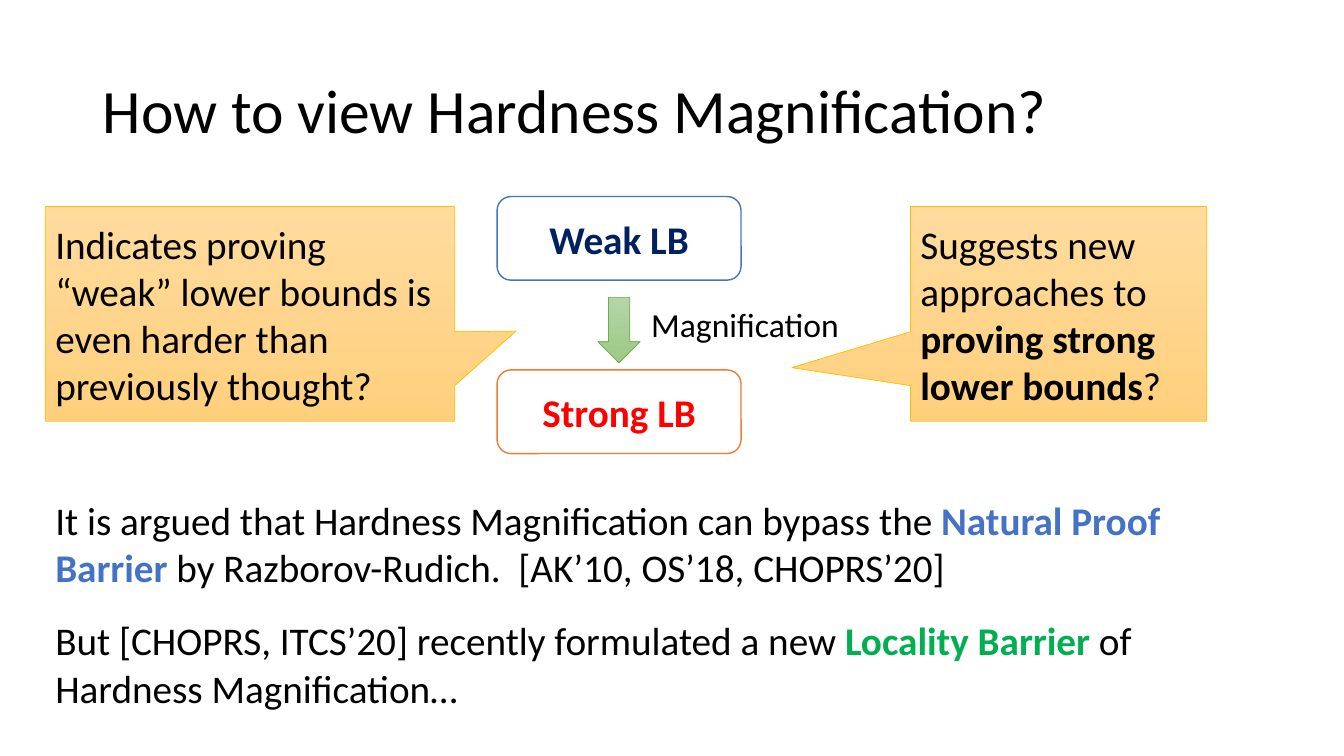
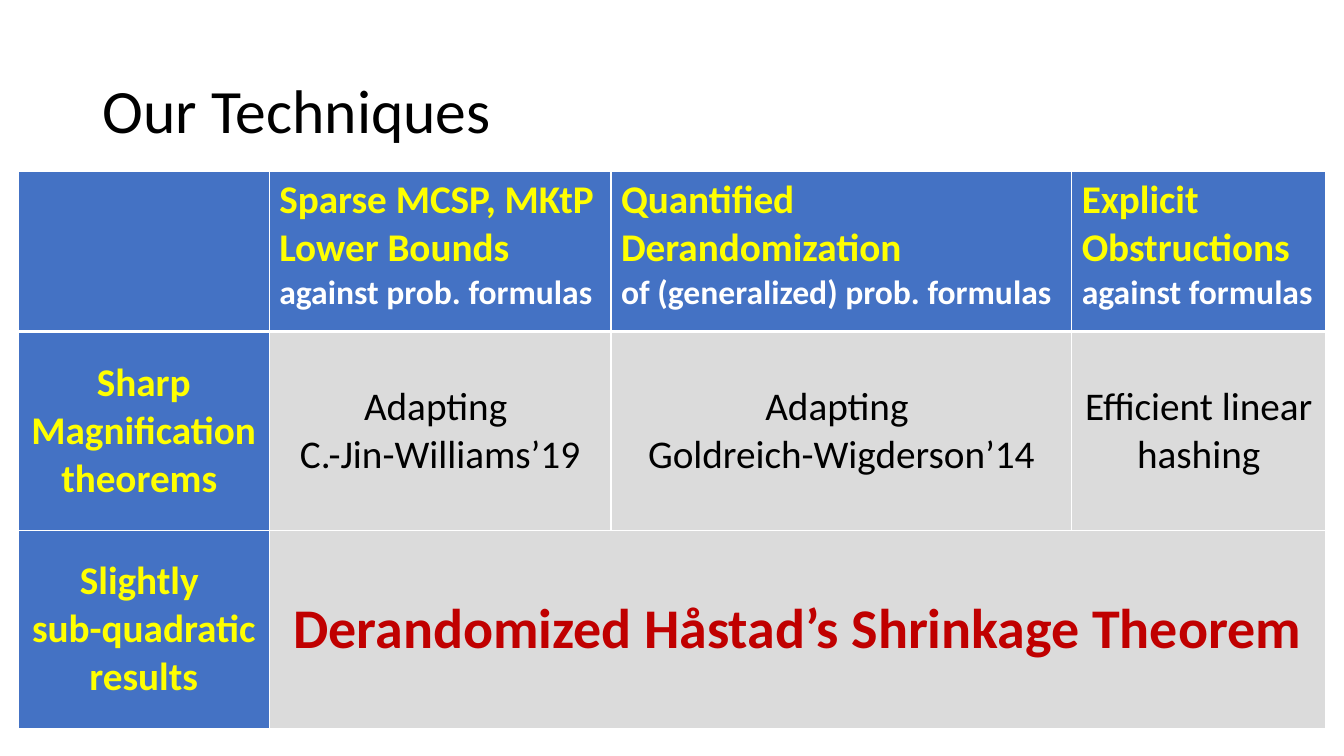
from dataclasses import dataclass
from typing import NamedTuple

from lxml import etree
from pptx import Presentation
from pptx.dml import color
from pptx.enum import shapes, text
from pptx.oxml import ns
from pptx.util import Inches, Pt

FONT = "Calibri"
BLACK, WHITE, BLUE, YELLOW = "000000", "FFFFFF", "4472C4", "FFFF00"
NAVY, RED, GREEN, CRIMSON, GREY = "002060", "FF0000", "00B050", "C00000", "DBDBDB"
ORANGE_LINE, GOLD_LINE, GREEN_LINE = "ED7D31", "FFC000", "70AD47"
GOLD_GRADIENT, GREEN_GRADIENT = ("FFDB9E", "FFD07C"), ("B5D5A7", "9CC987")
LEFT, CENTER = text.PP_ALIGN.LEFT, text.PP_ALIGN.CENTER
TOP, MIDDLE = text.MSO_ANCHOR.TOP, text.MSO_ANCHOR.MIDDLE


class Box(NamedTuple):
    left: float
    top: float
    width: float
    height: float

    def lengths(self) -> list:
        return [Inches(value) for value in self]


class Run(NamedTuple):
    words: str
    size: float = 28
    colour: str = BLACK
    bold: bool = False


@dataclass
class Figure:
    kind: shapes.MSO_SHAPE
    box: Box
    fills: tuple[str, ...]
    line: str
    line_width: float
    runs: tuple[Run, ...] = ()
    align: text.PP_ALIGN = CENTER
    adjustments: tuple[float, ...] = ()


@dataclass
class Cell:
    paragraphs: tuple[Run, ...]
    fill: str = GREY
    align: text.PP_ALIGN = CENTER
    anchor: text.MSO_ANCHOR = MIDDLE


def rgb(value: str) -> color.RGBColor:
    return color.RGBColor.from_string(value)


def add_runs(paragraph, runs: tuple[Run, ...], align: text.PP_ALIGN = LEFT) -> None:
    paragraph.alignment = align
    for item in runs:
        run = paragraph.add_run()
        run.text = item.words
        run.font.name = FONT
        run.font.size = Pt(item.size)
        run.font.bold = item.bold
        run.font.color.rgb = rgb(item.colour)


def add_text(parent, box: Box, runs: tuple[Run, ...], anchor=TOP):
    frame = parent.add_textbox(*box.lengths()).text_frame
    frame.word_wrap = True
    frame.vertical_anchor = anchor
    add_runs(frame.paragraphs[0], runs)
    return frame


def add_figure(parent, figure: Figure) -> None:
    shape = parent.add_shape(figure.kind, *figure.box.lengths())
    shape.shadow.inherit = False
    for index, value in enumerate(figure.adjustments):
        shape.adjustments[index] = value
    if len(figure.fills) == 1:
        shape.fill.solid()
        shape.fill.fore_color.rgb = rgb(figure.fills[0])
    else:
        shape.fill.gradient()
        shape.fill.gradient_angle = 270
        for stop, value in zip(shape.fill.gradient_stops, figure.fills):
            stop.color.rgb = rgb(value)
    shape.line.color.rgb = rgb(figure.line)
    shape.line.width = Pt(figure.line_width)
    if figure.runs:
        shape.text_frame.word_wrap = True
        shape.text_frame.vertical_anchor = MIDDLE
        add_runs(shape.text_frame.paragraphs[0], figure.runs, figure.align)


def add_titled_slide(presentation, title: str):
    slide = presentation.slides.add_slide(presentation.slide_layouts[6])
    frame = add_text(slide.shapes, Box(0.92, 0.4, 11.5, 1.45), (Run(title, 44),), MIDDLE)
    frame.paragraphs[0].line_spacing = 0.9
    return slide


def set_borders(cell, widths: dict[str, float]) -> None:
    properties = cell._tc.get_or_add_tcPr()
    for side, width in widths.items():
        line = etree.SubElement(properties, ns.qn(f"a:ln{side}"), w=str(Pt(width)))
        fill = etree.SubElement(line, ns.qn("a:solidFill"))
        etree.SubElement(fill, ns.qn("a:srgbClr"), val=WHITE)


# Slide 1: diagram between two callouts, remarks below
def level_box(top: float, words: str, colour: str, line: str) -> Figure:
    return Figure(shapes.MSO_SHAPE.ROUNDED_RECTANGLE, Box(4.93, top, 2.42, 0.83),
                  (WHITE,), line, 1, (Run(words, 28, colour, True),))


def callout(left: float, width: float, tip: tuple[float, float], *runs: Run) -> Figure:
    return Figure(shapes.MSO_SHAPE.RECTANGULAR_CALLOUT, Box(left, 2.05, width, 2.13),
                  GOLD_GRADIENT, GOLD_LINE, 0.5, runs, LEFT, tip)


def build_view_slide(presentation) -> None:
    slide = add_titled_slide(presentation, "How to view Hardness Magnification?")

    diagram = slide.shapes.add_group_shape().shapes
    add_figure(diagram, level_box(1.95, "Weak LB", NAVY, BLUE))
    add_figure(diagram, Figure(shapes.MSO_SHAPE.DOWN_ARROW, Box(5.93, 2.95, 0.42, 0.65),
                               GREEN_GRADIENT, GREEN_LINE, 0.5))
    add_figure(diagram, level_box(3.67, "Strong LB", RED, ORANGE_LINE))
    add_text(diagram, Box(6.36, 2.97, 2.42, 0.5), (Run("Magnification", 24),))

    add_figure(slide.shapes, callout(
        9.03, 2.94, (-0.9, 0.25),
        Run("Suggests new approaches to "),
        Run("proving strong lower bounds", bold=True), Run("?")))
    add_figure(slide.shapes, callout(
        0.45, 4.06, (0.65, 0.08),
        Run("Indicates proving “weak” lower bounds is even harder than previously thought?")))

    add_text(slide.shapes, Box(0.45, 4.87, 12.13, 1.04), (
        Run("It is argued that Hardness Magnification can bypass the "),
        Run("Natural Proof Barrier", 28, BLUE, True),
        Run(" by Razborov-Rudich.  [AK’10, OS’18, CHOPRS’20]")))
    add_text(slide.shapes, Box(0.45, 6.07, 11.97, 1.04), (
        Run("But [CHOPRS, ITCS’20] recently formulated a new "),
        Run("Locality Barrier ", 28, GREEN, True),
        Run("of Hardness Magnification…")))


# Slide 2: table of techniques
def column_head(topic: str, detail: str) -> Cell:
    return Cell((Run(topic, 28, YELLOW, True), Run(detail, 24, WHITE, True)), BLUE, LEFT, TOP)


def row_head(*lines: str) -> Cell:
    return Cell(tuple(Run(line, 28, YELLOW, True) for line in lines), BLUE)


def technique(*lines: str) -> Cell:
    return Cell(tuple(Run(line) for line in lines))


def build_techniques_slide(presentation) -> None:
    slide = add_titled_slide(presentation, "Our Techniques")
    widths, heights = (2.49, 3.39, 4.57, 2.52), (1.59, 1.97, 1.97)
    rows = (
        (Cell((), BLUE),
         column_head("Sparse MCSP, MKtP Lower Bounds", "against prob. formulas"),
         column_head("Quantified Derandomization", "of (generalized) prob. formulas"),
         column_head("Explicit Obstructions", "against formulas")),
        (row_head("Sharp Magnification theorems "),
         technique("Adapting ", "C.-Jin-Williams’19"),
         technique("Adapting ", "Goldreich-Wigderson’14"),
         technique("Efficient linear hashing")),
        (row_head("Slightly ", "sub-quadratic results"),
         Cell((Run("Derandomized Håstad’s Shrinkage Theorem", 40, CRIMSON, True),)),
         Cell(()), Cell(())),
    )
    box = Box(0.18, 1.7, sum(widths), sum(heights))
    table = slide.shapes.add_table(len(rows), len(widths), *box.lengths()).table
    table.horz_banding = False
    for column, width in zip(table.columns, widths):
        column.width = Inches(width)
    for row, height in zip(table.rows, heights):
        row.height = Inches(height)

    for row_index, row in enumerate(rows):
        top, bottom = (3 if row_index == 1 else 1), (3 if row_index == 0 else 1)
        for column_index, content in enumerate(row):
            cell = table.cell(row_index, column_index)
            set_borders(cell, {"L": 1, "R": 1, "T": top, "B": bottom})
            cell.fill.solid()
            cell.fill.fore_color.rgb = rgb(content.fill)
            cell.vertical_anchor = content.anchor
            frame = cell.text_frame
            for index, run in enumerate(content.paragraphs):
                paragraph = frame.add_paragraph() if index else frame.paragraphs[0]
                add_runs(paragraph, (run,), content.align)
    table.cell(2, 1).merge(table.cell(2, 3))


def main() -> None:
    presentation = Presentation()
    presentation.slide_width, presentation.slide_height = Inches(13.33), Inches(7.5)
    build_view_slide(presentation)
    build_techniques_slide(presentation)
    presentation.save("out.pptx")


if __name__ == "__main__":
    main()
